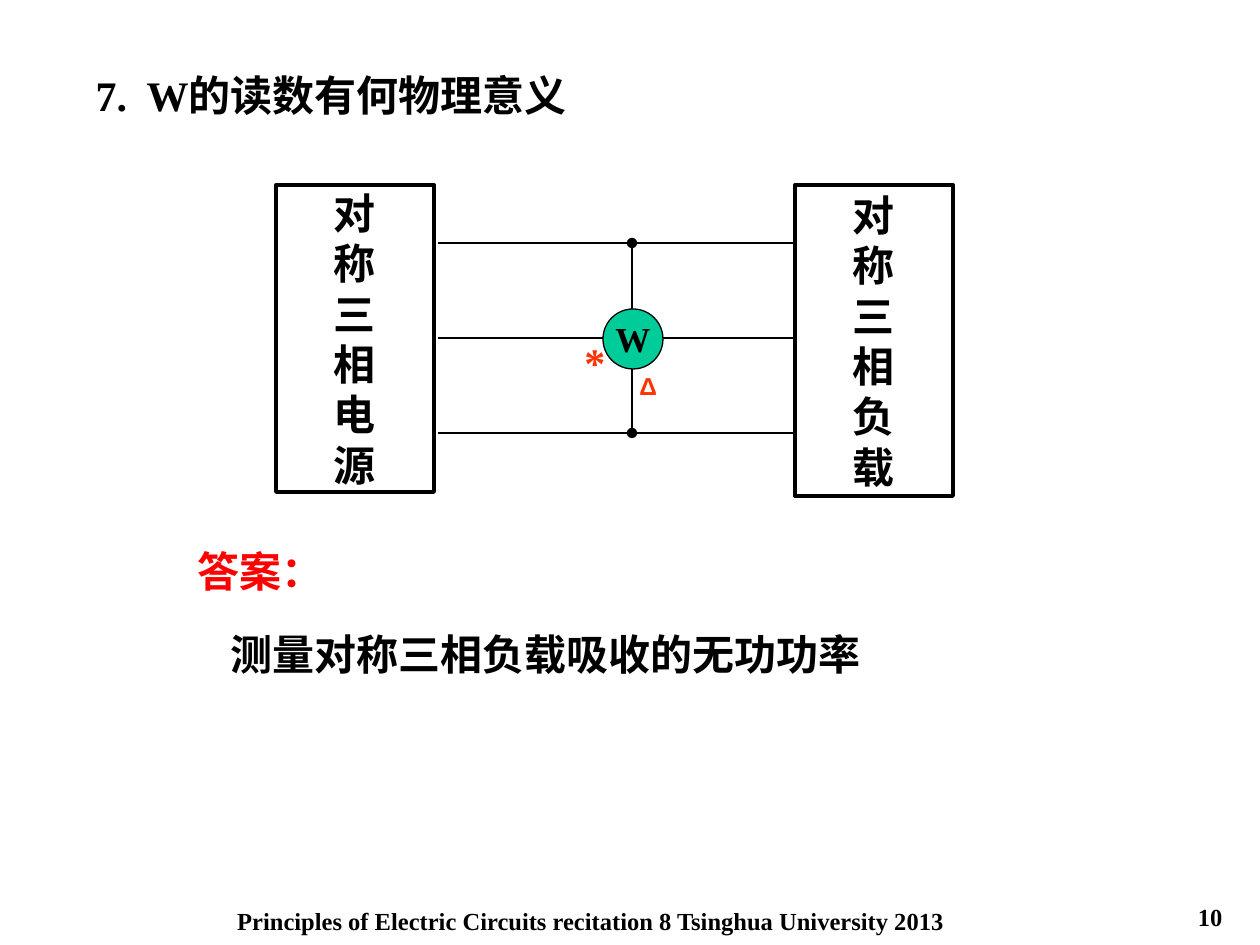
from dataclasses import dataclass

import lxml.etree
import pptx
import pptx.dml.color
import pptx.enum.shapes
import pptx.enum.text
import pptx.oxml.ns
import pptx.util

PX_PER_INCH = 126
SHAPE = pptx.enum.shapes.MSO_SHAPE
ALIGN = pptx.enum.text.PP_ALIGN
ANCHOR = pptx.enum.text.MSO_ANCHOR
qn = pptx.oxml.ns.qn


@dataclass(frozen=True)
class Theme:
    serif: str = "Times New Roman"
    sans: str = "Arial"
    ink: str = "000000"
    answer: str = "FF0000"
    mark: str = "FF3300"
    meter: str = "00CC99"
    body: int = 24
    meter_label: int = 20
    small: int = 14
    frame: float = 2.25
    wire: float = 1.5
    outline: float = 0.75


THEME = Theme()


def px(length):
    return round(length * pptx.util.Inches(1) / PX_PER_INCH)


def rgb(value):
    return pptx.dml.color.RGBColor.from_string(value)


def write(holder, text, size=THEME.body, color=THEME.ink, face=THEME.serif,
          align=ALIGN.LEFT, anchor=ANCHOR.TOP, wrap=False, tab=None):
    frame = holder.text_frame
    frame.word_wrap = wrap
    frame.auto_size = pptx.enum.text.MSO_AUTO_SIZE.NONE
    frame.vertical_anchor = anchor
    frame.text = text
    for paragraph in frame.paragraphs:
        if tab:
            stops = lxml.etree.SubElement(paragraph._p.get_or_add_pPr(), qn("a:tabLst"))
            lxml.etree.SubElement(stops, qn("a:tab"), pos=str(px(tab)), algn="l")
        paragraph.alignment = align
        paragraph.space_before = pptx.util.Pt(0)
        paragraph.font.size = pptx.util.Pt(size)
        paragraph.font.name = face
        paragraph.font.bold = True
        paragraph.font.color.rgb = rgb(color)


def add_text(slide, box, text, **style):
    write(slide.shapes.add_textbox(*map(px, box)), text, **style)


def add_block(slide, preset, box, text, line, fill=None, size=THEME.body):
    block = slide.shapes.add_shape(preset, *map(px, box))
    block.shadow.inherit = False
    if fill:
        block.fill.solid()
        block.fill.fore_color.rgb = rgb(fill)
    else:
        block.fill.background()
    block.line.color.rgb = rgb(THEME.ink)
    block.line.width = pptx.util.Pt(line)
    write(block, text, size=size, align=ALIGN.CENTER, anchor=ANCHOR.MIDDLE)


def add_wire(slide, start, end, dot=None):
    wire = slide.shapes.add_connector(
        pptx.enum.shapes.MSO_CONNECTOR.STRAIGHT, *map(px, start + end))
    wire.line.color.rgb = rgb(THEME.ink)
    wire.line.width = pptx.util.Pt(THEME.wire)
    if dot:
        lxml.etree.SubElement(wire.line._get_or_add_ln(), qn(dot), type="oval")
    lxml.etree.SubElement(wire._element.spPr, qn("a:effectLst"))


def add_title(slide, left, top, width, height):
    title = slide.shapes.title
    title.left, title.top, title.width, title.height = map(px, (left, top, width, height))
    write(title, "7.\tW的读数有何物理意义", anchor=ANCHOR.MIDDLE, tab=51)


def add_circuit(slide, left, top, width, height):
    block_width = 158
    load_left = left + width - block_width
    meter_x = left + 356
    phases = [top + 58 + 95 * phase for phase in range(3)]

    add_block(slide, SHAPE.RECTANGLE, (load_left, top, block_width, height),
              "\n".join("对称三相负载"), THEME.frame)
    for y in phases:
        add_wire(slide, (left + block_width + 4, y), (load_left, y))
    add_wire(slide, (meter_x, phases[0]), (meter_x, phases[1]), "a:headEnd")
    add_wire(slide, (meter_x, phases[1]), (meter_x, phases[2]), "a:tailEnd")
    add_text(slide, (left + 351, top + 180, 40, 43), "Δ",
             size=THEME.small, color=THEME.mark, face=THEME.sans)
    add_text(slide, (left + 296, top + 145, 45, 63), "*", color=THEME.mark)
    add_block(slide, SHAPE.OVAL, (meter_x - 29, top + 124, 60, 60), "W",
              THEME.outline, THEME.meter, THEME.meter_label)
    add_block(slide, SHAPE.RECTANGLE, (left, top, block_width, height - 4),
              "\n".join("对称三相电源"), THEME.frame)


def add_answer(slide, left, top, width, height):
    line_height = 63
    add_text(slide, (left, top, 151, line_height), "答案：", color=THEME.answer)
    add_text(slide, (left + 33, top + height - line_height, width - 33, line_height),
             "测量对称三相负载吸收的无功功率", wrap=True)


def add_footer(slide, left, top, width, height):
    add_text(slide, (left, top + 4, 834, 33),
             "Principles of Electric Circuits recitation 8 Tsinghua University 2013",
             size=THEME.small, align=ALIGN.CENTER, wrap=True)
    add_text(slide, (left + width - 262, top, 262, height), "10",
             size=THEME.small, align=ALIGN.RIGHT, wrap=True)


def main():
    deck = pptx.Presentation()
    deck.slide_width, deck.slide_height = px(1260), px(945)
    slide = deck.slides.add_slide(deck.slide_layouts.get_by_name("Title Only"))
    add_title(slide, 83, 63, 518, 63)
    add_circuit(slide, 276, 185, 677, 311)
    add_answer(slide, 185, 539, 727, 146)
    add_footer(slide, 174, 896, 1061, 49)
    deck.save("out.pptx")


if __name__ == "__main__":
    main()
